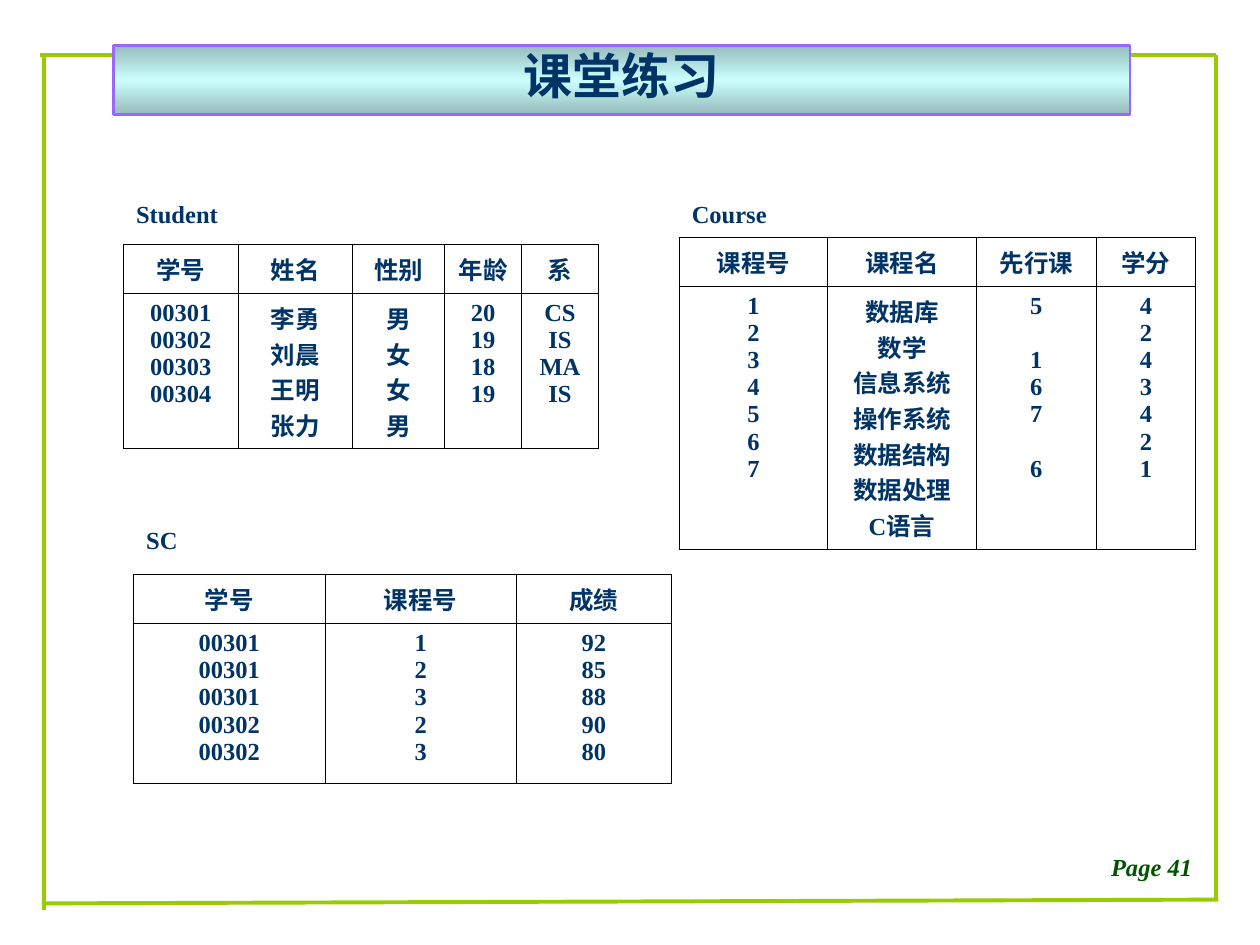
import copy

import pptx
import pptx.util
import pptx.dml.color
import pptx.enum.dml
import pptx.enum.shapes
import pptx.enum.text
import pptx.oxml
import pptx.oxml.ns

Inches, Pt = pptx.util.Inches, pptx.util.Pt
RGBColor = pptx.dml.color.RGBColor
ALIGN = pptx.enum.text.PP_ALIGN
ANCHOR = pptx.enum.text.MSO_ANCHOR
qn = pptx.oxml.ns.qn

GREEN = RGBColor(0x99, 0xCC, 0x00)
PAGE_GREEN = RGBColor(0x00, 0x54, 0x00)
NAVY = RGBColor(0x00, 0x33, 0x66)
VIOLET = RGBColor(0x99, 0x66, 0xFF)
TEAL = RGBColor(0x96, 0xBB, 0xBB)
AQUA = RGBColor(0xCC, 0xFF, 0xFF)
BLACK = RGBColor(0, 0, 0)
FONT = "Times New Roman"

# Content: each table has a name, then column headings with their values
TITLE = "课堂练习"
PAGE = "Page 41"
TABLES = [
    dict(name="Student", at=(0.98, 1.55), widths=(0.91, 0.91, 0.73, 0.61, 0.61),
         heights=(0.39, 0.39, 1.23),
         columns={"学号": ["00301", "00302", "00303", "00304"],
                  "姓名": ["李勇", "刘晨", "王明", "张力"],
                  "性别": ["男", "女", "女", "男"],
                  "年龄": ["20", "19", "18", "19"],
                  "系": ["CS", "IS", "MA", "IS"]}),
    dict(name="Course", at=(5.39, 1.55), widths=(1.18, 1.18, 0.95, 0.79),
         heights=(0.33, 0.39, 2.09),
         columns={"课程号": ["1", "2", "3", "4", "5", "6", "7"],
                  "课程名": ["数据库", "数学", "信息系统", "操作系统",
                          "数据结构", "数据处理", "C语言"],
                  "先行课": ["5", "", "1", "6", "7", "", "6"],
                  "学分": ["4", "2", "4", "3", "4", "2", "1"]}),
    dict(name="SC", at=(1.06, 4.14), widths=(1.52, 1.52, 1.23),
         heights=(0.42, 0.39, 1.27),
         columns={"学号": ["00301", "00301", "00301", "00302", "00302"],
                  "课程号": ["1", "2", "3", "2", "3"],
                  "成绩": ["92", "85", "88", "90", "80"]}),
]
FRAME = [
    (0.9, 0.44, 0.32, 0.44),
    (0.35, 0.44, 0.35, 7.22),
    (0.35, 7.17, 9.67, 7.14),
    (9.65, 0.44, 9.65, 7.14),
    (9.65, 0.44, 8.98, 0.44),
]


def write(tf, lines, size=14, color=NAVY, italic=False, align=ALIGN.CENTER, spacing=None):
    for i, line in enumerate(lines):
        p = tf.paragraphs[0] if i == 0 else tf.add_paragraph()
        p.alignment = align
        if spacing:
            p.line_spacing = spacing
        if not line:  # a missing value keeps the height of its line
            end = pptx.oxml.parse_xml(
                f'<a:endParaRPr {pptx.oxml.ns.nsdecls("a")} sz="{size * 100}" b="1">'
                f'<a:latin typeface="{FONT}"/></a:endParaRPr>')
            p._p.append(end)
            continue
        r = p.add_run()
        r.text = line
        r.font.name, r.font.size = FONT, Pt(size)
        r.font.bold, r.font.italic = True, italic
        r.font.color.rgb = color


def add_borders(cell, visible):
    tc_pr = cell._tc.get_or_add_tcPr()
    for side in "LRTB":
        fill = (f'<a:solidFill><a:srgbClr val="{BLACK}"/></a:solidFill>'
                if side in visible else "<a:noFill/>")
        tc_pr.append(pptx.oxml.parse_xml(
            f'<a:ln{side} {pptx.oxml.ns.nsdecls("a")} w="{Pt(0.45)}">{fill}</a:ln{side}>'))


def add_relation(slide, name, at, widths, heights, columns):
    x, y = at
    shape = slide.shapes.add_table(len(heights), len(widths), Inches(x), Inches(y),
                                   Inches(sum(widths)), Inches(sum(heights)))
    table = shape.table
    table.first_row = table.horz_banding = False
    for row, height in zip(table.rows, heights):
        row.height = Inches(height)
    for c, (heading, values) in enumerate(columns.items()):
        table.columns[c].width = Inches(widths[c])
        label = [name if c == 0 else ""]
        for r, lines in enumerate((label, [heading], values)):
            cell = table.cell(r, c)
            add_borders(cell, "LRTB" if r else "B")
            cell.fill.background()
            write(cell.text_frame, lines, align=ALIGN.CENTER if r else ALIGN.LEFT)


def main():
    prs = pptx.Presentation()
    prs.slide_width, prs.slide_height = Inches(10), Inches(7.5)
    slide = prs.slides.add_slide(prs.slide_layouts[6])

    # Green frame
    for ends in FRAME:
        line = slide.shapes.add_connector(pptx.enum.shapes.MSO_CONNECTOR.STRAIGHT,
                                          *map(Inches, ends))
        line.line.color.rgb = GREEN
        line.line.width = Pt(2.25)
        line._element.spPr.append(pptx.oxml.parse_xml(
            f'<a:effectLst {pptx.oxml.ns.nsdecls("a")}/>'))

    # Page number
    box = slide.shapes.add_textbox(Inches(8.39), Inches(6.74), Inches(1.5), Inches(0.31))
    box.text_frame.word_wrap = False
    write(box.text_frame, [PAGE], color=PAGE_GREEN, italic=True, spacing=0.9)

    # Title banner with a three-stop gradient
    sp = slide.shapes.add_shape(pptx.enum.shapes.MSO_SHAPE.RECTANGLE, Inches(0.9),
                                Inches(0.36), Inches(8.07), Inches(0.55))
    sp.shadow.inherit = False
    sp.line.color.rgb = VIOLET
    sp.line.width = Pt(1.5)
    sp.fill.gradient()
    sp.fill.gradient_angle = 90
    gs_list = sp._element.spPr.find(qn("a:gradFill")).find(qn("a:gsLst"))
    gs_list.insert(1, copy.deepcopy(gs_list[0]))
    for stop, position, color in zip(sp.fill.gradient_stops, (0, 0.5, 1), (TEAL, AQUA, TEAL)):
        stop.position = position
        stop.color.rgb = color
    sp.text_frame.vertical_anchor = ANCHOR.MIDDLE
    write(sp.text_frame, [TITLE], size=28, spacing=0.85)

    # Relations
    for relation in TABLES:
        add_relation(slide, **relation)

    prs.save("out.pptx")


if __name__ == "__main__":
    main()
